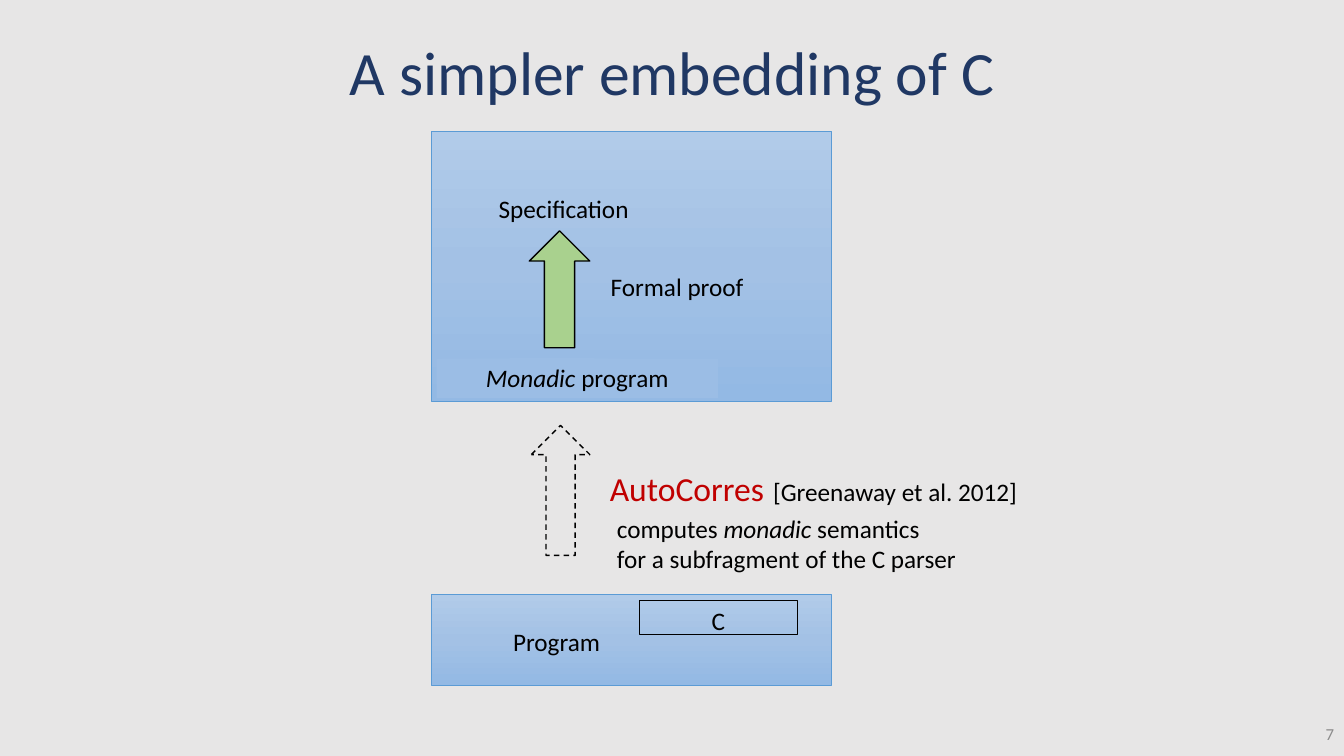
from copy import deepcopy

from pptx import Presentation
from pptx.dml.color import RGBColor
from pptx.enum.dml import MSO_LINE_DASH_STYLE as DASH
from pptx.enum.shapes import MSO_SHAPE as SHAPE
from pptx.enum.text import MSO_ANCHOR as ANCHOR, PP_ALIGN as ALIGN
from pptx.util import Inches, Pt

FONT = "Calibri"
BLACK = "000000"
PANEL_STOPS = [(0, "B1CBE9"), (0.5, "A3C1E5"), (1, "93B9E4")]


def color(hex_string):
    """Turn a hex string into a colour."""
    return RGBColor.from_string(hex_string)


def write(shape, lines, size=18, ink=BLACK, align=ALIGN.CENTER, anchor=ANCHOR.TOP):
    """Write lines of (text, italic) runs into a shape."""
    frame = shape.text_frame
    frame.word_wrap = True
    frame.vertical_anchor = anchor
    for index, line in enumerate(lines):
        paragraph = frame.add_paragraph() if index else frame.paragraphs[0]
        paragraph.alignment = align
        for text, italic in line:
            run = paragraph.add_run()
            run.text = text
            run.font.name = FONT
            run.font.size = Pt(size)
            run.font.italic = italic
            run.font.color.rgb = color(ink)
    return frame


def add_text(slide, box, lines, **style):
    """Add a text box and write lines into it."""
    textbox = slide.shapes.add_textbox(*map(Inches, box))
    return write(textbox, lines, **style)


def add_outlined(slide, kind, box, line, width, fill=None):
    """Add a preset shape with an outline and an optional solid fill."""
    shape = slide.shapes.add_shape(kind, *map(Inches, box))
    shape.shadow.inherit = False
    shape.line.color.rgb = color(line)
    shape.line.width = Pt(width)
    if fill:
        shape.fill.solid()
        shape.fill.fore_color.rgb = color(fill)
    else:
        shape.fill.background()
    return shape


def add_panel(slide, box):
    """Add a blue rectangle shaded from top to bottom."""
    panel = add_outlined(slide, SHAPE.RECTANGLE, box, "5B9BD5", 0.5)
    panel.fill.gradient()
    panel.fill.gradient_angle = 270
    stop_list = panel.fill._xPr.gradFill.gsLst
    stop_list.insert(1, deepcopy(stop_list[0]))
    for stop, (position, shade) in zip(panel.fill.gradient_stops, PANEL_STOPS):
        stop.position = position
        stop.color.rgb = color(shade)


def add_monadic_label(slide, left, top):
    """Add the filled label that names the monadic program."""
    outline = [(0, 0.01), (1.33, 0), (1.85, 0.01), (2.79, 0.01), (2.79, 0.4), (0, 0.4)]
    points = [(Inches(left + x), Inches(top + y)) for x, y in outline]
    builder = slide.shapes.build_freeform(*points[0])
    builder.add_line_segments(points[1:], close=True)
    label = builder.convert_to_shape()
    label.shadow.inherit = False
    label.fill.solid()
    label.fill.fore_color.rgb = color("9BBDE5")
    label.line.fill.background()
    write(label, [[("Monadic", True), (" program", False)]])


def add_proof(slide, left, top, width, height):
    """Draw the panel where the monadic program is proved against its specification."""
    add_panel(slide, (left, top, width, height))
    arrow_box = (left + 0.97, top + 0.99, 0.6, 1.16)
    add_outlined(slide, SHAPE.UP_ARROW, arrow_box, BLACK, 1, "A9D18E")
    add_text(slide, (left - 0.4, top + 0.57, 3.42, 0.4), [[("Specification", False)]])
    add_text(slide, (left + 1.25, top + 1.34, 2.37, 0.4), [[("Formal proof", False)]])
    add_monadic_label(slide, left + 0.05, top + 2.25)


def add_translation(slide, left, top, width, height):
    """Draw the dashed arrow and the description of the tool beside it."""
    arrow = add_outlined(slide, SHAPE.UP_ARROW, (left, top, 0.58, height), BLACK, 1)
    arrow.line.dash_style = DASH.DASH
    right = left + width
    add_text(slide, (left + 0.68, top + 0.37, 1.77, 0.5), [[("AutoCorres", False)]],
             size=24, ink="C00000", align=ALIGN.LEFT)
    add_text(slide, (left + 2.3, top + 0.46, right - left - 2.3, 0.4),
             [[("[Greenaway et al. 2012]", False)]], align=ALIGN.LEFT)
    description = [
        [("computes ", False), ("monadic", True), (" semantics", False)],
        [("for a subfragment of the C parser", False)],
    ]
    add_text(slide, (left + 0.75, top + 0.82, right - left - 0.75, 0.71),
             description, align=ALIGN.LEFT)


def add_program(slide, left, top, width, height):
    """Draw the program panel with its language tag."""
    add_panel(slide, (left, top, width, height))
    tag_box = (left + 2.06, top + 0.06, 1.57, 0.34)
    tag = add_outlined(slide, SHAPE.RECTANGLE, tag_box, BLACK, 0.75)
    write(tag, [[("C", False)]])
    add_text(slide, (left + 0.42, top + 0.26, 1.64, 0.42), [[("Program", False)]])


def main():
    """Build the slide and save it."""
    presentation = Presentation()
    presentation.slide_width = Inches(13.33)
    presentation.slide_height = Inches(7.5)
    slide = presentation.slides.add_slide(presentation.slide_layouts[6])
    slide.background.fill.solid()
    slide.background.fill.fore_color.rgb = color("E7E6E6")

    title = add_text(slide, (0.92, 0.02, 11.5, 1.45), [[("A simpler embedding of C", False)]],
                     size=44, ink="203864", anchor=ANCHOR.MIDDLE)
    title.paragraphs[0].line_spacing = 0.9
    add_proof(slide, 4.28, 1.3, 3.97, 2.68)
    add_translation(slide, 5.27, 4.22, 8.06, 1.29)
    add_program(slide, 4.28, 5.9, 3.97, 0.9)
    add_text(slide, (10.33, 7.08, 3, 0.4), [[("7", False)]],
             size=12, ink="8C8C8C", align=ALIGN.RIGHT, anchor=ANCHOR.MIDDLE)
    presentation.save("out.pptx")


if __name__ == "__main__":
    main()
